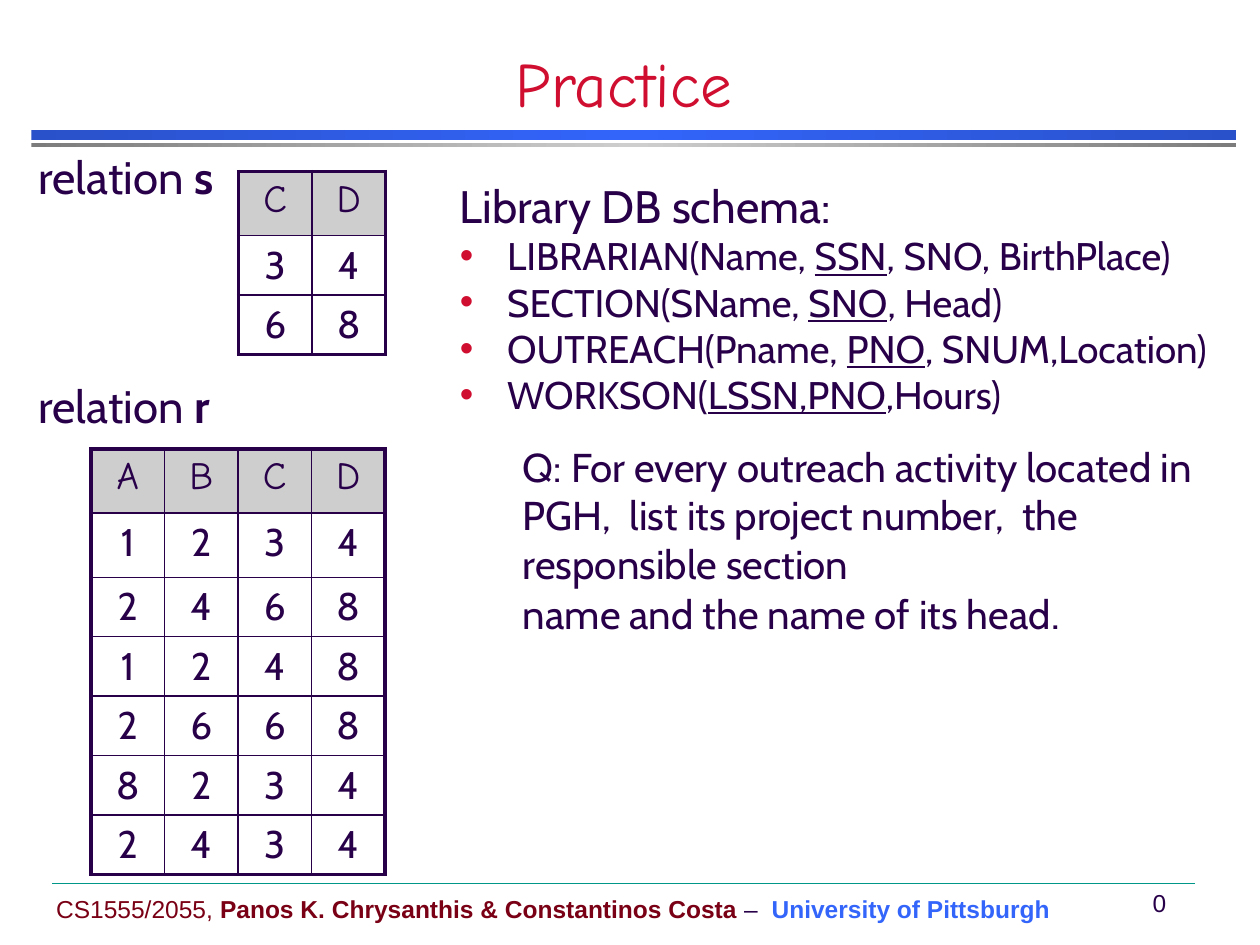
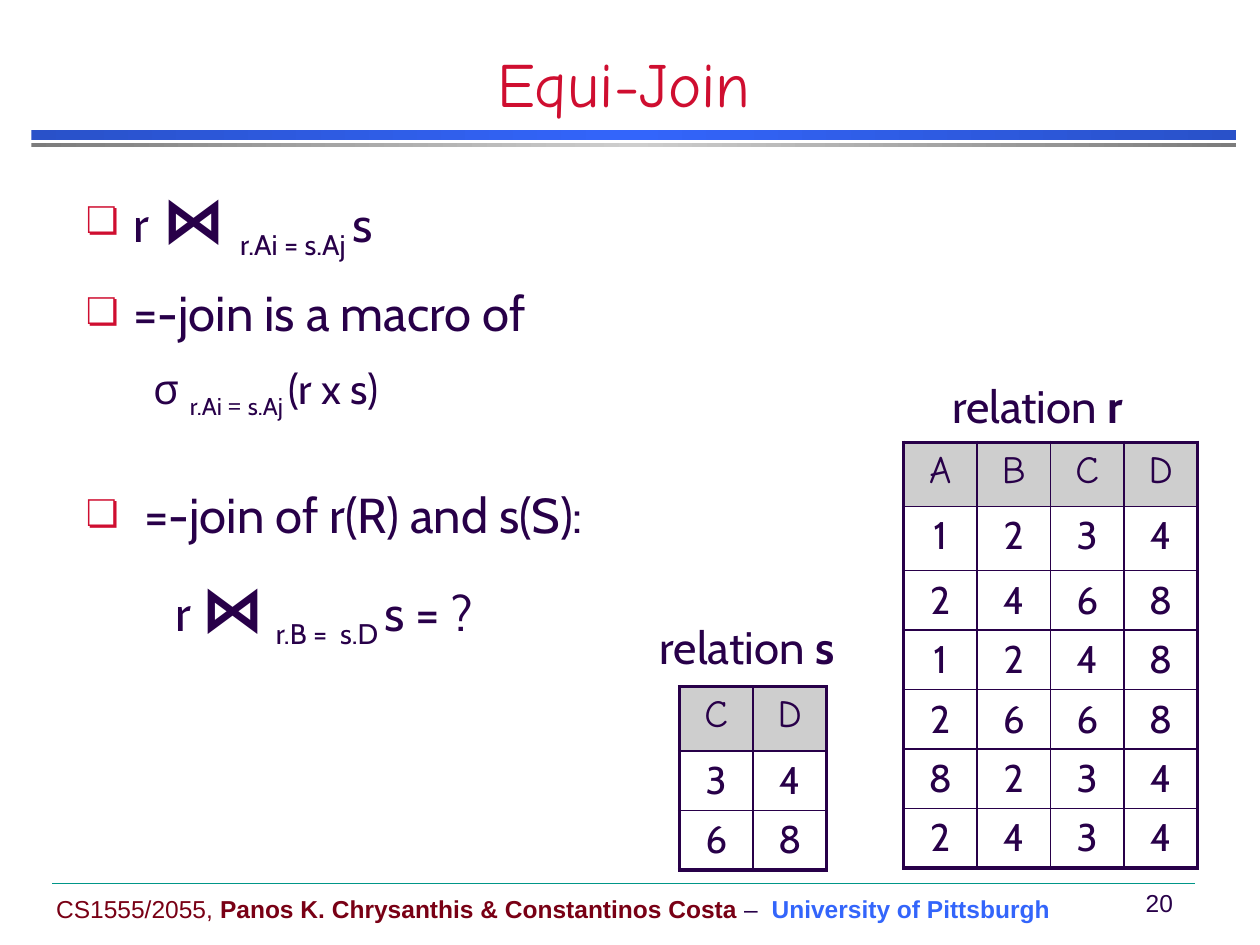
from copy import deepcopy

from pptx import Presentation
from pptx.dml.color import RGBColor
from pptx.enum.shapes import MSO_CONNECTOR, MSO_SHAPE
from pptx.enum.text import MSO_ANCHOR, MSO_AUTO_SIZE, PP_ALIGN
from pptx.oxml.ns import qn
from pptx.oxml.xmlchemy import OxmlElement
from pptx.util import Pt

LINE, RECT = MSO_CONNECTOR.STRAIGHT, MSO_SHAPE.RECTANGLE
LEFT, MID = PP_ALIGN.LEFT, PP_ALIGN.CENTER
TOP, CENTER, BOTTOM = MSO_ANCHOR.TOP, MSO_ANCHOR.MIDDLE, MSO_ANCHOR.BOTTOM
FIXED = MSO_AUTO_SIZE.NONE

INK = RGBColor(0x28, 0x00, 0x49)
RED = RGBColor(0xCF, 0x0E, 0x30)
MAROON = RGBColor(0x79, 0x00, 0x15)
BLUE = RGBColor(0x33, 0x65, 0xFB)
NAVY = RGBColor(0x29, 0x51, 0xC9)
GREY = RGBColor(0x7C, 0x7C, 0x7C)
SILVER = RGBColor(0xCE, 0xCE, 0xCE)
TEAL = RGBColor(0x00, 0x96, 0x88)

BODY, HEAD, FOOT, GREEK = "Cabin", "Comic Neue", "Arial", "Open Sans"

R_ROWS = ["ABCD", "1234", "2468", "1248", "2668", "8234", "2434"]
S_ROWS = ["CD", "34", "68"]
COL, ROW, TALL = 42, 33.9, 36.7


def child(parent, tag, **attrs):
    node = OxmlElement(tag)
    for key, value in attrs.items():
        node.set(key, str(value))
    parent.append(node)
    return node


def write(par, runs, font=BODY, size=22, color=INK, align=LEFT, line=1.0,
          before=0, left=0, first=0, mark=None, scale=100):
    """Fill a paragraph; a run is a string or (string, own format)."""
    par.alignment, par.line_spacing = align, line
    par.space_before, par.space_after = Pt(before), Pt(0)
    props = par._p.get_or_add_pPr()
    props.set("marL", str(Pt(left)))
    props.set("indent", str(Pt(first)))
    if mark:
        tint = child(props, "a:buClr")
        child(tint, "a:srgbClr", val=RED)
        child(props, "a:buSzPct", val=scale * 1000)
        child(props, "a:buFont", typeface=FOOT)
        child(props, "a:buChar", char=mark)
    else:
        child(props, "a:buNone")
    for item in runs:
        text, own = (item, {}) if isinstance(item, str) else item
        if text == "\n":
            par.add_line_break()
            continue
        run = par.add_run()
        run.text = text
        face = run.font
        face.name = own.get("font", font)
        face.size = Pt(own.get("size", size))
        face.color.rgb = own.get("color", color)
        face.bold = own.get("bold", False)
        face.underline = own.get("under", False)
        if own.get("sub"):
            run._r.get_or_add_rPr().set("baseline", "-25000")


def place(shape, box, anchor=TOP, wrap=True):
    shape.left, shape.top, shape.width, shape.height = map(Pt, box)
    frame = shape.text_frame
    frame.word_wrap, frame.auto_size = wrap, FIXED
    frame.vertical_anchor = anchor
    return frame


def label(slide, box, runs, anchor=TOP, **style):
    shape = slide.shapes.add_textbox(*map(Pt, box))
    frame = place(shape, box, anchor, wrap=False)
    write(frame.paragraphs[0], runs, **style)


def bullets(slide, box, items):
    frame = place(slide.placeholders[1], box)
    for i, (runs, style) in enumerate(items):
        par = frame.add_paragraph() if i else frame.paragraphs[0]
        write(par, runs, **style)


def band(slide, box, edge, core):
    bar = slide.shapes.add_shape(RECT, *map(Pt, box))
    bar.shadow.inherit = False
    bar.line.fill.background()
    bar.fill.gradient()
    bar.fill.gradient_angle = 0
    start, end = bar.fill.gradient_stops
    start.color.rgb, end.color.rgb = edge, core
    start.position, end.position = 0, 0.5
    stop = bar._element.spPr.find(".//" + qn("a:gs"))
    last = deepcopy(stop)
    last.set("pos", "100000")
    stop.getparent().append(last)


def border(cell, widths):
    props = cell._tc.get_or_add_tcPr()
    for i, (side, width) in enumerate(zip("LRTB", widths)):
        edge = OxmlElement("a:ln" + side)
        edge.set("w", str(Pt(width)))
        child(child(edge, "a:solidFill"), "a:srgbClr", val=INK)
        props.insert(i, edge)


def relation(slide, left, top, rows, tall):
    """Draw a grid of one-letter cells; the first rows are taller."""
    high = [TALL] * tall + [ROW] * (len(rows) - tall)
    wide = len(rows[0])
    box = left, top, COL * wide, sum(high)
    grid = slide.shapes.add_table(len(rows), wide, *map(Pt, box)).table
    grid.first_row = grid.horz_banding = False
    for col in grid.columns:
        col.width = Pt(COL)
    for r, row in enumerate(rows):
        grid.rows[r].height = Pt(high[r])
        for c, text in enumerate(row):
            cell = grid.cell(r, c)
            if r:
                cell.fill.background()
            else:
                cell.fill.solid()
                cell.fill.fore_color.rgb = SILVER
            outer = c == 0, c == wide - 1, r == 0, r == len(rows) - 1
            border(cell, [2.25 if rim else 1 for rim in outer])
            write(cell.text_frame.paragraphs[0], [text],
                  font=BODY if r else HEAD, align=MID)


def name(slide, left, top, text):
    label(slide, (left, top, 121, 38), ["relation ", (text, {"bold": True})],
          size=26, line=0.9)


def base(deck, title, number):
    """Start a slide with its title, bands and footer."""
    slide = deck.slides.add_slide(deck.slide_layouts[1])
    band(slide, (18, 74.2, 688.3, 5.8), NAVY, BLUE)
    band(slide, (18, 82, 688.3, 2.2), GREY, SILVER)
    frame = place(slide.shapes.title, (0, 30, 713, 42), BOTTOM)
    write(frame.paragraphs[0], [title], font=HEAD, size=36, color=RED,
          align=MID)
    # Footer
    label(slide, (25, 507, 584, 24),
          ["CS1555/2055, ",
           ("Panos K. Chrysanthis & Constantinos Costa", {"bold": True}),
           (" –  ", {"color": INK}),
           ("University of Pittsburgh", {"color": BLUE, "bold": True})],
          anchor=CENTER, font=FOOT, size=14, color=MAROON)
    label(slide, (645, 504, 35, 24), [number], anchor=CENTER, font=FOOT,
          size=14, align=MID)
    rule = slide.shapes.add_connector(LINE, Pt(30), Pt(504.7), Pt(683),
                                      Pt(504.7))
    rule.line.color.rgb, rule.line.width = TEAL, Pt(0.25)
    child(rule._element.spPr, "a:effectLst")
    return slide


def practice(deck):
    slide = base(deck, "Practice", "0")
    # Relations
    relation(slide, 52, 256.5, R_ROWS, 2)
    name(slide, 15, 216, "r")
    relation(slide, 136.3, 98, S_ROWS, 1)
    name(slide, 15, 85, "s")
    # Schema and question
    schema = [("LIBRARIAN(Name, ", "SSN", ", SNO, BirthPlace)"),
              ("SECTION(SName, ", "SNO", ", Head)"),
              ("OUTREACH(Pname, ", "PNO", ", SNUM,Location)"),
              ("WORKSON(", "LSSN,PNO", ",Hours)")]
    dot = dict(mark="•", left=27, first=-27)
    items = [(["Library DB schema:"], dict(size=26))]
    items += [([head, (key, {"under": True}), tail], dot)
              for head, key, tail in schema]
    ask = ["Q: For every outreach activity located in PGH,  list its project "
           "number,  the responsible section ", "\n",
           "name and the name of its head", (".", {"size": 24})]
    items.append((ask, dict(size=23, left=36, before=14.5)))
    bullets(slide, (255.6, 98, 457, 273), items)


def join(deck):
    slide = base(deck, "Equi-Join", "20")
    # Definition
    bow = {"size": 36, "bold": True}
    sub = {"sub": True}
    flat = dict(size=28, line=1.2, before=5.6)
    box = dict(flat, mark="❏", scale=75, left=27, first=-27)
    bullets(slide, (41.8, 90, 408, 302), [
        (["r", (" ⋈ ", bow), ("r.Ai = s.Aj ", sub), "s"],
         dict(box, before=0)),
        (["=-join is a macro of"], box),
        ([("σ ", {"font": GREEK}), ("r.Ai ", sub),
          ("= ", {"font": GREEK, "sub": True}), ("s.Aj ", sub), "(r x s)"],
         dict(flat, size=24, left=38.5)),
        ([" =-join of r(R) and s(S):"], dict(box, before=30)),
        (["r ", ("⋈", bow), " ", ("r.B =  s.D ", sub), "s = ?"],
         dict(flat, left=51))])
    # Relations
    relation(slide, 516.3, 252.7, R_ROWS, 2)
    name(slide, 537, 216, "r")
    relation(slide, 388.3, 392.4, S_ROWS, 1)
    name(slide, 370, 354, "s")


deck = Presentation()
deck.slide_width, deck.slide_height = Pt(720), Pt(540)
practice(deck)
join(deck)
deck.save("out.pptx")
